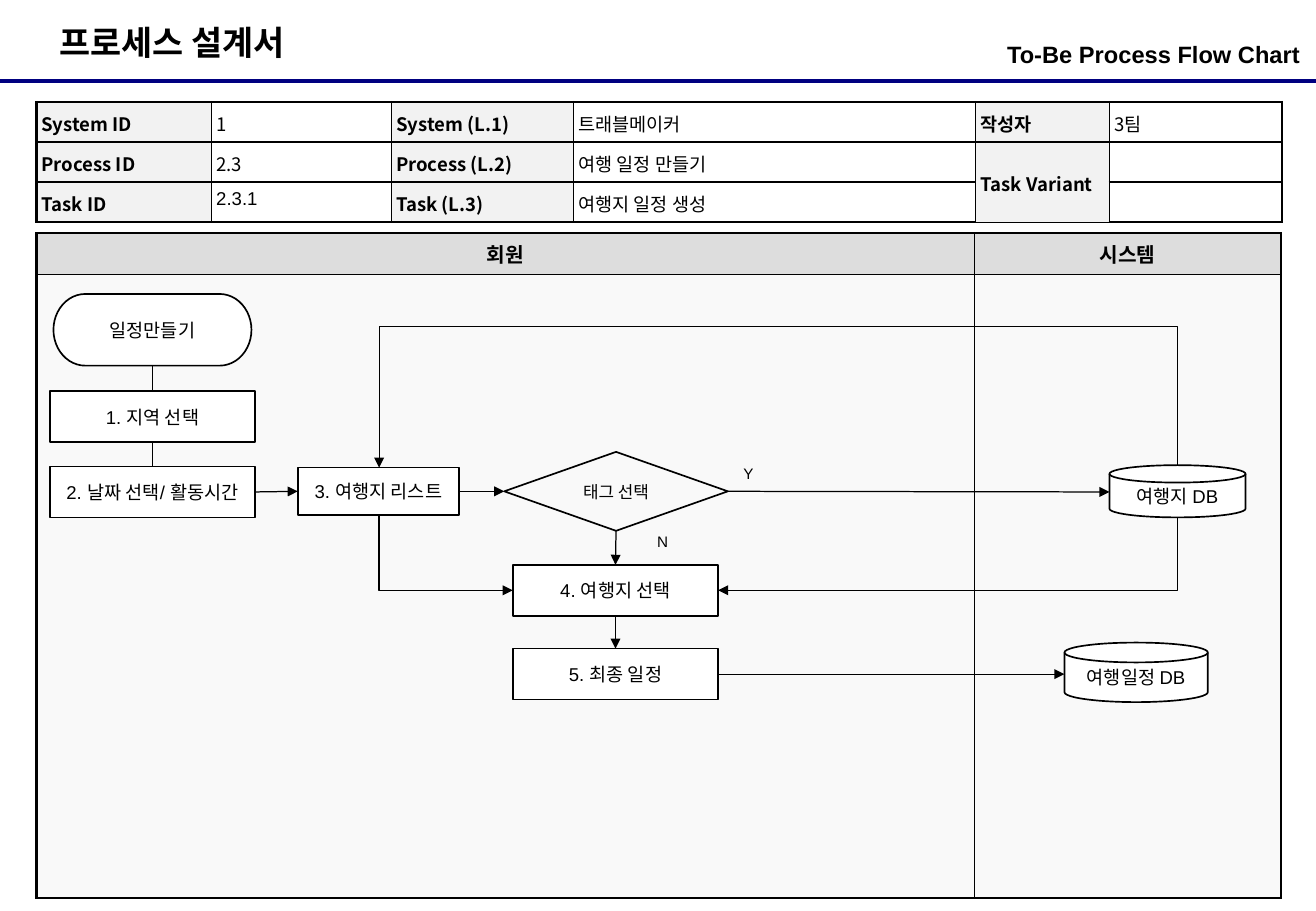
from lxml.etree import SubElement
from pptx import Presentation
from pptx.dml.color import RGBColor
from pptx.enum.shapes import MSO_CONNECTOR as CXN, MSO_SHAPE as SHP
from pptx.enum.text import MSO_ANCHOR as ANC, PP_ALIGN as AL
from pptx.oxml.ns import qn
from pptx.util import Inches, Pt

BLACK = RGBColor(0x00, 0x00, 0x00)
WHITE = RGBColor(0xFF, 0xFF, 0xFF)
NAVY = RGBColor(0x00, 0x00, 0x80)
LABEL_GRAY = RGBColor(0xF2, 0xF2, 0xF2)
HEAD_GRAY = RGBColor(0xDD, 0xDD, 0xDD)
LANE_GRAY = RGBColor(0xF9, 0xF9, 0xF9)
ARIAL, NOTO = "Arial", "Noto Sans CJK KR"
TOP, LEFT, BOTTOM, RIGHT = range(4)

# Content: document header table
INFO_COLS = [1.44, 1.48, 1.5, 3.31, 1.1, 1.42]
INFO_ROWS = [0.33] * 3
INFO = [
    ["System ID", "1", "System (L.1)", "트래블메이커", "작성자", "3팀"],
    ["Process ID", "2.3", "Process (L.2)", "여행 일정 만들기", "Task Variant", ""],
    ["Task ID", "2.3.1", "Task (L.3)", "여행지 일정 생성", "", ""],
]
ARIAL_CELLS = {"2.3.1", "여행지 일정 생성"}

# Content: swimlanes
LANE_COLS = [7.72, 2.52]
LANE_ROWS = [0.34, 5.13]
LANES = ["회원", "시스템"]

# Content: flow steps (key, shape, left, top, width, height, text, size, fill)
STEPS = [
    ("start", SHP.FLOWCHART_TERMINATOR, 0.44, 2.42, 1.63, 0.59, "일정만들기", 11, WHITE),
    ("region", SHP.RECTANGLE, 0.41, 3.22, 1.69, 0.42, "1. 지역 선택", 11, WHITE),
    ("date", SHP.RECTANGLE, 0.41, 3.84, 1.69, 0.42, "2. 날짜 선택/ 활동시간", 11, WHITE),
    ("list", SHP.RECTANGLE, 2.45, 3.85, 1.33, 0.39, "3. 여행지 리스트", 11, WHITE),
    ("tag", SHP.FLOWCHART_DECISION, 4.15, 3.72, 1.84, 0.65, "태그 선택", 10, None),
    ("pick", SHP.RECTANGLE, 4.22, 4.65, 1.69, 0.42, "4. 여행지 선택", 11, WHITE),
    ("final", SHP.RECTANGLE, 4.22, 5.34, 1.69, 0.42, "5. 최종 일정", 11, WHITE),
    ("place_db", SHP.FLOWCHART_MAGNETIC_DISK, 9.13, 3.83, 1.12, 0.43, "여행지 DB", 11, WHITE),
    ("plan_db", SHP.FLOWCHART_MAGNETIC_DISK, 8.76, 5.29, 1.18, 0.49, "여행일정 DB", 11, WHITE),
]
# Straight links (from, side, to, side, arrowhead)
LINKS = [
    ("start", BOTTOM, "region", TOP, False),
    ("region", BOTTOM, "date", TOP, False),
    ("date", RIGHT, "list", LEFT, True),
    ("list", RIGHT, "tag", LEFT, True),
    ("tag", BOTTOM, "pick", TOP, True),
    ("pick", BOTTOM, "final", TOP, True),
]
# Links to a database (from, end x, end y)
DB_LINKS = [("tag", 9.13, 4.05), ("final", 8.76, 5.55)]
# Elbow links (start x, start y, end x, end y, y of the crossing run or None)
ELBOWS = [
    (3.12, 4.24, 4.22, 4.86, None),
    (9.69, 4.26, 5.91, 4.86, None),
    (9.69, 3.83, 3.12, 3.85, 2.69),
]
BRANCHES = [("Y", 6.02, 3.77), ("N", 5.31, 4.33)]

prs = Presentation()
prs.slide_width, prs.slide_height = Inches(10.83), Inches(7.5)
s = prs.slides.add_slide(prs.slide_layouts[6])


def write(tf, text, size, font=ARIAL, bold=False, align=AL.LEFT, spacing=None):
    p = tf.paragraphs[0]
    p.text = text
    p.alignment = align
    if spacing:
        p.line_spacing = spacing
    for r in p.runs:
        r.font.size, r.font.name, r.font.bold = Pt(size), font, bold
        r.font.color.rgb = BLACK
        SubElement(r.font._element, qn("a:ea"), typeface=NOTO)


def set_margins(target, x, y):
    target.margin_left = target.margin_right = Inches(x)
    target.margin_top = target.margin_bottom = Inches(y)


def add_text(x, y, w, h, text, size, margin=0.1, **style):
    tf = s.shapes.add_textbox(*map(Inches, (x, y, w, h))).text_frame
    tf.word_wrap = True
    set_margins(tf, margin, 0.05)
    write(tf, text, size, **style)
    return tf


def add_line(x1, y1, x2, y2, head=False, kind=CXN.STRAIGHT, color=BLACK, width=0.75):
    c = s.shapes.add_connector(kind, *map(Inches, (x1, y1, x2, y2)))
    c.line.color.rgb, c.line.width = color, Pt(width)
    if head:
        SubElement(c.line._get_or_add_ln(), qn("a:tailEnd"), type="triangle")
    SubElement(c._element.spPr, qn("a:effectLst"))
    return c


def add_elbow(x1, y1, x2, y2, run_y):
    """Elbow that leaves vertically: a lying connector turned by a quarter."""
    w, h = y2 - y1, abs(x2 - x1)
    left, top = (x1 + x2 - w) / 2, (y1 + y2 - h) / 2
    c = add_line(left, top, left + w, top + h, True, CXN.ELBOW)
    xfrm = c._element.spPr.find(qn("a:xfrm"))
    xfrm.set("rot", str((90 if x2 < x1 else 270) * 60000))
    if x2 > x1:
        xfrm.set("flipH", "1")
    geom = c._element.spPr.find(qn("a:prstGeom"))
    if run_y is None:
        geom.set("prst", "bentConnector2")
    else:
        adj = round((run_y - y1) / w * 100000)
        SubElement(geom.find(qn("a:avLst")), qn("a:gd"), name="adj1", fmla=f"val {adj}")


def add_grid(x, y, cols, rows, inner):
    """Table with a 1.5 pt frame and thinner inner borders."""
    t = s.shapes.add_table(len(rows), len(cols), *map(Inches, (x, y, sum(cols), sum(rows)))).table
    t.first_row = t.horz_banding = False
    for col, w in zip(t.columns, cols):
        col.width = Inches(w)
    for row, h in zip(t.rows, rows):
        row.height = Inches(h)
    for i in range(len(rows)):
        for j in range(len(cols)):
            on_frame = {"L": j == 0, "R": j == len(cols) - 1, "T": i == 0, "B": i == len(rows) - 1}
            tc_pr = t.cell(i, j)._tc.get_or_add_tcPr()
            for side, outer in on_frame.items():
                ln = SubElement(tc_pr, qn(f"a:ln{side}"), w=str(Pt(1.5 if outer else inner)))
                SubElement(SubElement(ln, qn("a:solidFill")), qn("a:srgbClr"), val=str(BLACK))
    return t


def fill_cell(cell, color):
    cell.fill.solid()
    cell.fill.fore_color.rgb = color


# Heading
add_line(0, 0.67, 10.83, 0.67, color=NAVY, width=2.25)
add_text(0.39, 0.13, 2.26, 0.44, "프로세스 설계서", 20, bold=True)
add_text(7.39, 0.28, 3.31, 0.39, "To-Be Process Flow Chart", 14, margin=0, bold=True, align=AL.RIGHT)

# Document header table
info = add_grid(0.3, 0.84, INFO_COLS, INFO_ROWS, 1)
for i, row in enumerate(INFO):
    for j, text in enumerate(row):
        cell, is_label = info.cell(i, j), j % 2 == 0
        fill_cell(cell, LABEL_GRAY if is_label else WHITE)
        margin = 0.04 if text else 0
        set_margins(cell, margin, margin)
        cell.vertical_anchor = ANC.MIDDLE if j >= 4 else ANC.TOP
        font = ARIAL if text in ARIAL_CELLS else NOTO
        write(cell.text_frame, text, 11, font, is_label, spacing=1.1)
info.cell(1, 4).merge(info.cell(2, 4))

# Swimlanes
lanes = add_grid(0.3, 1.92, LANE_COLS, LANE_ROWS, 0.75)
for j, name in enumerate(LANES):
    head = lanes.cell(0, j)
    fill_cell(head, HEAD_GRAY)
    fill_cell(lanes.cell(1, j), LANE_GRAY)
    head.vertical_anchor = ANC.MIDDLE
    write(head.text_frame, name, 12, bold=True, align=AL.CENTER)

# Flow steps
steps = {}
for key, kind, x, y, w, h, text, size, color in STEPS:
    sp = steps[key] = s.shapes.add_shape(kind, *map(Inches, (x, y, w, h)))
    sp.shadow.inherit = False
    if color is None:
        sp.fill.background()
    else:
        sp.fill.solid()
        sp.fill.fore_color.rgb = color
    sp.line.color.rgb, sp.line.width = BLACK, Pt(1)
    tf = sp.text_frame
    tf.word_wrap, tf.vertical_anchor = True, ANC.MIDDLE
    set_margins(tf, 0.02, 0)
    write(tf, text, size, align=AL.CENTER)

# Links
for a, a_side, b, b_side, head in LINKS:
    c = add_line(0, 0, 1, 1, head)
    c.begin_connect(steps[a], a_side)
    c.end_connect(steps[b], b_side)
for a, x, y in DB_LINKS:
    add_line(x - 1, y, x, y, True).begin_connect(steps[a], RIGHT)
for elbow in ELBOWS:
    add_elbow(*elbow)

# Branch labels
for text, x, y in BRANCHES:
    add_text(x, y, 0.26, 0.25, text, 9, align=AL.CENTER).vertical_anchor = ANC.MIDDLE

prs.save("out.pptx")
